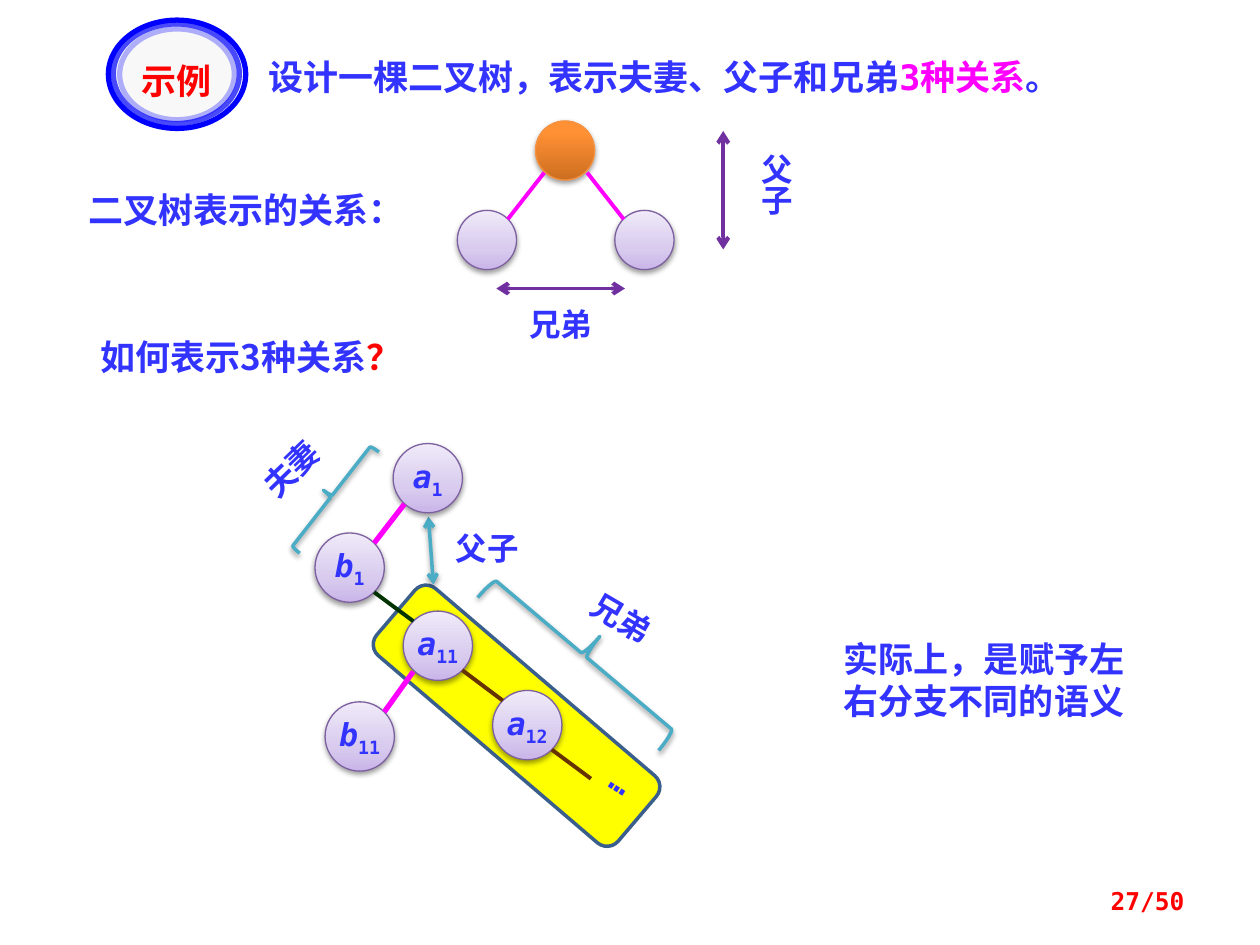
from dataclasses import dataclass
from copy import deepcopy
from typing import Optional

from lxml import etree
from pptx import Presentation
from pptx.dml.color import RGBColor
from pptx.enum import shapes, text
from pptx.oxml import ns
from pptx.util import Inches, Pt

BLUE = RGBColor(0x33, 0x33, 0xFF)
RING_BLUE = RGBColor(0x00, 0x00, 0xFF)
RED = RGBColor(0xFF, 0x00, 0x00)
MAGENTA = RGBColor(0xFF, 0x00, 0xFF)
PURPLE = RGBColor(0x70, 0x30, 0xA0)
TEAL = RGBColor(0x4B, 0xAC, 0xC6)
GREEN = RGBColor(0x00, 0x33, 0x00)
BROWN = RGBColor(0x66, 0x33, 0x00)
YELLOW = RGBColor(0xFF, 0xFF, 0x00)
NAVY = RGBColor(0x3A, 0x5F, 0x8C)
PALE = RGBColor(0xF8, 0xF8, 0xF8)
LILAC_EDGE = RGBColor(0x7D, 0x60, 0xA0)
ORANGE_EDGE = RGBColor(0xF6, 0x92, 0x40)
LILAC = ((0, RGBColor(0xC9, 0xB5, 0xE8)), (0.35, RGBColor(0xD8, 0xCB, 0xEE)),
         (1, RGBColor(0xF0, 0xEA, 0xF9)))
ORANGE = ((0, RGBColor(0xCC, 0x6E, 0x20)), (0.8, RGBColor(0xFF, 0x90, 0x34)),
          (1, RGBColor(0xFF, 0x91, 0x36)))

SANS, JP = "Noto Sans CJK SC", "Noto Sans CJK JP"
MONO, SERIF = "DejaVu Sans Mono", "Times New Roman"
SHAPE = shapes.MSO_SHAPE
LEFT, CENTER, RIGHT = text.PP_ALIGN.LEFT, text.PP_ALIGN.CENTER, text.PP_ALIGN.RIGHT


@dataclass
class Label:
    box: tuple[float, float, float, float]
    runs: list[tuple[str, RGBColor]]
    size: int = 18
    font: str = SANS
    align: text.PP_ALIGN = LEFT
    rotation: float = 0
    vertical: bool = False
    middle: bool = False
    inset: Optional[float] = None


@dataclass
class Node:
    x: float
    y: float
    size: float
    name: str = ""
    index: str = ""
    stops: tuple = LILAC
    edge: RGBColor = LILAC_EDGE


@dataclass
class Link:
    start: tuple[float, float]
    end: tuple[float, float]
    color: RGBColor
    width: float = 2.25
    arrows: bool = False
    shadow: bool = False


def add_sub(parent, tag: str, **attrs):
    return etree.SubElement(parent, ns.qn(tag), {k: str(v) for k, v in attrs.items()})


def add_shadow(effects) -> None:
    shadow = add_sub(effects, "a:outerShdw", blurRad=Pt(3.1), dist=Pt(1.6),
                     dir=5400000, rotWithShape=0)
    add_sub(add_sub(shadow, "a:srgbClr", val="000000"), "a:alpha", val=38000)


def add_run(p, words: str, size: int, font: str, color: RGBColor):
    r = p.add_run()
    r.text = words
    r.font.size, r.font.name, r.font.bold = Pt(size), font, True
    r.font.color.rgb = color
    add_sub(r.font._element, "a:ea", typeface=JP if font == JP else SANS)
    return r


def draw_shape(s, kind, box, line: RGBColor, width: float,
               fill: Optional[RGBColor] = None, rotation: float = 0, shadow: bool = False):
    sp = s.shapes.add_shape(kind, *map(Inches, box))
    sp.rotation = rotation
    if fill is None:
        sp.fill.background()
    else:
        sp.fill.solid()
        sp.fill.fore_color.rgb = fill
    sp.line.color.rgb, sp.line.width = line, Pt(width)
    sp.shadow.inherit = False
    if shadow:
        add_shadow(sp._element.spPr.find(ns.qn("a:effectLst")))
    return sp


def draw_label(s, label: Label) -> None:
    sp = s.shapes.add_textbox(*map(Inches, label.box))
    sp.rotation = label.rotation
    tf = sp.text_frame
    tf.word_wrap = True
    if label.vertical:
        tf._txBody.bodyPr.set("vert", "eaVert")
    if label.middle:
        tf.vertical_anchor = text.MSO_ANCHOR.MIDDLE
    if label.inset is not None:
        tf.margin_left = tf.margin_right = Inches(label.inset)
        tf.margin_top = tf.margin_bottom = Inches(label.inset)
    p = tf.paragraphs[0]
    p.alignment = label.align
    for words, color in label.runs:
        add_run(p, words, label.size, label.font, color)


def draw_node(s, node: Node) -> None:
    sp = draw_shape(s, SHAPE.OVAL, (node.x, node.y, node.size, node.size),
                    node.edge, 0.75, shadow=True)
    sp.fill.gradient()
    sp.fill.gradient_angle = 90
    stop_list = sp._element.spPr.find(".//" + ns.qn("a:gsLst"))
    stop_list.append(deepcopy(stop_list[-1]))
    for stop, (position, color) in zip(sp.fill.gradient_stops, node.stops):
        stop.position, stop.color.rgb = position, color
    if node.name:
        tf = sp.text_frame
        tf.word_wrap = False
        tf.vertical_anchor = text.MSO_ANCHOR.MIDDLE
        p = tf.paragraphs[0]
        p.alignment = CENTER
        add_run(p, node.name, 18, MONO, BLUE).font.italic = True
        r = add_run(p, node.index, 18, MONO, BLUE)
        r.font._element.set("baseline", "-25000")


def draw_link(s, link: Link) -> None:
    c = s.shapes.add_connector(shapes.MSO_CONNECTOR.STRAIGHT,
                               *map(Inches, link.start + link.end))
    c.line.color.rgb, c.line.width = link.color, Pt(link.width)
    if link.arrows:
        for end in ("a:headEnd", "a:tailEnd"):
            add_sub(c.line._get_or_add_ln(), end, type="arrow")
    effects = add_sub(c._element.spPr, "a:effectLst")
    if link.shadow:
        add_shadow(effects)


SMALL, LARGE = 0.47, 0.55
PATTERN_NODES = [Node(4.25, 0.96, SMALL, stops=ORANGE, edge=ORANGE_EDGE),
                 Node(3.63, 1.67, SMALL), Node(4.88, 1.67, SMALL)]
FAMILY_NODES = [Node(3.12, 3.52, LARGE, "a", "1"), Node(2.5, 4.23, LARGE, "b", "1"),
                Node(3.2, 4.85, LARGE, "a", "11"), Node(3.91, 5.48, LARGE, "a", "12"),
                Node(2.58, 5.57, LARGE, "b", "11")]
LINKS = [
    Link((4.32, 1.37), (4.03, 1.74), MAGENTA),
    Link((4.66, 1.37), (4.95, 1.74), MAGENTA),
    Link((5.74, 1.04), (5.74, 1.98), PURPLE, arrows=True),
    Link((3.94, 2.29), (4.96, 2.29), PURPLE, arrows=True),
    Link((3.21, 4), (2.97, 4.31), MAGENTA, 3),
    Link((2.97, 4.7), (3.28, 4.93), GREEN),
    Link((3.67, 5.32), (3.99, 5.56), BROWN),
    Link((4.38, 5.95), (4.69, 6.18), BROWN),
    Link((3.28, 5.33), (3.05, 5.65), MAGENTA, 3),
]
LABELS = [
    Label((2.03, 0.39, 6.64, 0.44), [("设计一棵二叉树，表示夫妻、父子和兄弟", BLUE),
                                     ("3种关系", MAGENTA), ("。", BLUE)], 20, MONO),
    Label((0.47, 1.45, 2.97, 0.44), [("二叉树表示的关系：", BLUE)], 20, SERIF, CENTER),
    Label((5.86, 1.12, 0.5, 0.78), [("父子", BLUE)], vertical=True),
    Label((4.1, 2.37, 1.02, 0.4), [("兄弟", BLUE)]),
    Label((0.7, 2.61, 2.78, 0.44), [("如何表示3种关系", BLUE), ("？", RED)], 20),
    Label((3.52, 4.15, 0.78, 0.4), [("父子", BLUE)]),
    Label((1.92, 3.52, 0.78, 0.4), [("夫妻", BLUE)], align=CENTER, rotation=315.8),
    Label((4.7, 6.05, 0.47, 0.3), [("…", BLUE)], 18, MONO, CENTER, 32.4, inset=0),
    Label((4.39, 4.7, 1.09, 0.4), [("兄弟", BLUE)], align=CENTER, rotation=30.4),
    Label((6.56, 5.01, 2.5, 0.77), [("实际上，是赋予左右分支不同的语义", BLUE)], 20, SANS, CENTER),
    Label((0.92, 0.42, 0.96, 0.39), [("示例", RED)], 20, JP, CENTER),
    Label((7.17, 6.95, 2.33, 0.4), [("27/50", RED)], 14, MONO, RIGHT, middle=True),
]
# Badge rings: box and opacity in percent
RINGS = [((0.86, 0.16, 1.09, 0.86), 100), ((0.9, 0.19, 1, 0.79), 70),
         ((0.95, 0.23, 0.91, 0.72), 30)]


def main() -> None:
    prs = Presentation()
    prs.slide_width, prs.slide_height = Inches(10), Inches(7.5)
    s = prs.slides.add_slide(prs.slide_layouts[6])

    # Sibling band and parent arrow lie behind the tree
    draw_shape(s, SHAPE.ROUNDED_RECTANGLE, (3.75, 4.42, 0.7, 2.52), NAVY, 2, YELLOW, 310.5)
    draw_link(s, Link((3.4, 4.1), (3.44, 4.64), TEAL, 2, arrows=True, shadow=True))

    # Both trees
    for node in PATTERN_NODES + FAMILY_NODES:
        draw_node(s, node)
    for link in LINKS:
        draw_link(s, link)

    # Braces for couple and siblings
    for box, angle in (((2.55, 3.43, 0.16, 1.02), 38), ((4.44, 4.26, 0.39, 1.88), 130.2)):
        draw_shape(s, SHAPE.LEFT_BRACE, box, TEAL, 2, rotation=angle, shadow=True)

    # Badge
    for box, opacity in RINGS:
        sp = draw_shape(s, SHAPE.OVAL, box, RING_BLUE, 3, PALE if opacity == 100 else None)
        color = sp.line._get_or_add_ln().find(".//" + ns.qn("a:srgbClr"))
        add_sub(color, "a:alpha", val=opacity * 1000)

    # All text
    for label in LABELS:
        draw_label(s, label)

    prs.save("out.pptx")


if __name__ == "__main__":
    main()
